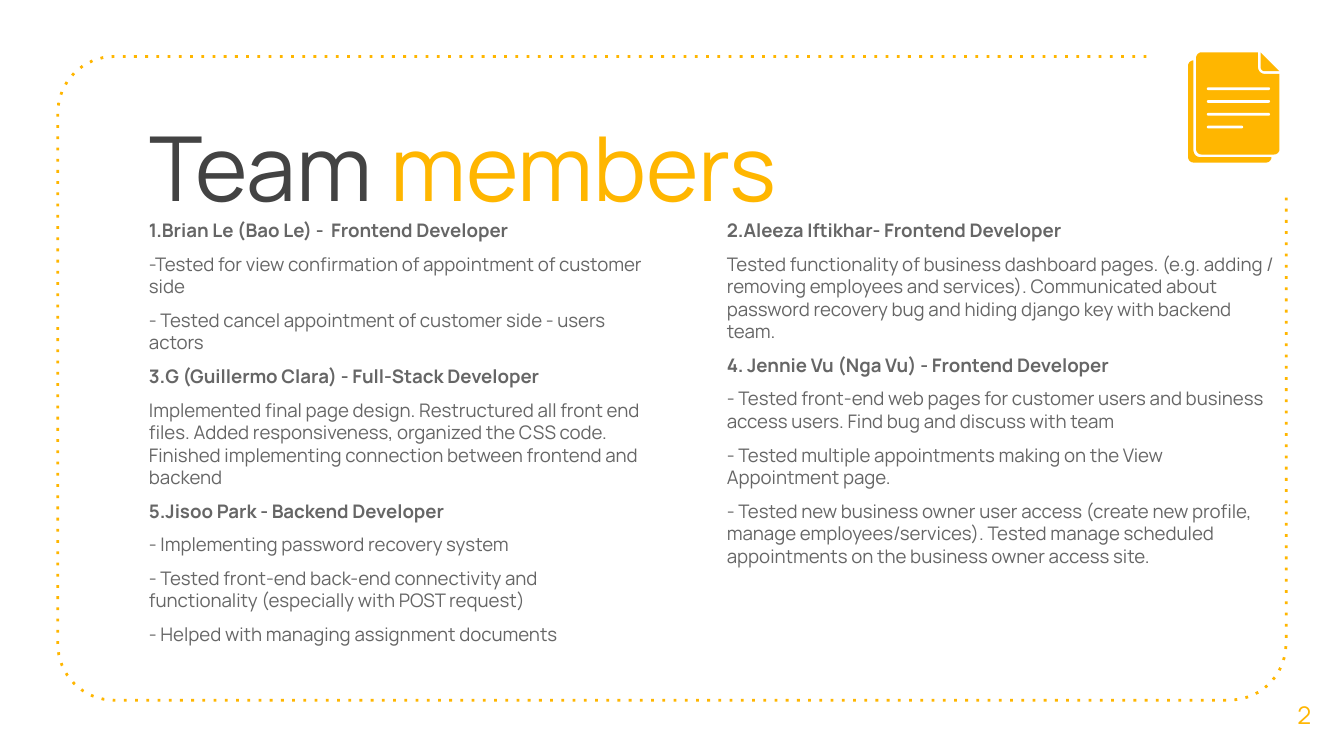
"""Build the team members slide."""
from math import cos, pi, sin
from typing import NamedTuple

from pptx import Presentation
from pptx.dml.color import RGBColor
from pptx.enum.dml import MSO_LINE
from pptx.enum.shapes import MSO_SHAPE
from pptx.enum.text import MSO_ANCHOR, MSO_AUTO_SIZE, PP_ALIGN
from pptx.oxml.ns import qn
from pptx.util import Inches, Pt

FONT = "Manrope"
GOLD, DARK, GRAY, WHITE = "FFB600", "434343", "666666", "FFFFFF"
LEFT, CENTER = PP_ALIGN.LEFT, PP_ALIGN.CENTER
TOP, MIDDLE = MSO_ANCHOR.TOP, MSO_ANCHOR.MIDDLE
FIXED = MSO_AUTO_SIZE.NONE
DOTS = MSO_LINE.ROUND_DOT
PILL = MSO_SHAPE.ROUNDED_RECTANGLE
STEPS = 8


class Run(NamedTuple):
    text: str
    color: str = GRAY
    bold: bool = False


class Node(NamedTuple):
    x: float
    y: float
    turn: float = 0


class Member(NamedTuple):
    head: str
    tasks: list[str]


class Column(NamedTuple):
    x: float
    width: float
    height: float
    team: list[Member]


COLUMNS = [
    Column(1.01, 3.88, 3.74, [
        Member("1.Brian Le (Bao Le) -  Frontend Developer", [
            "-Tested for view confirmation of appointment of customer side",
            "- Tested cancel appointment of customer side - users actors",
        ]),
        Member("3.G (Guillermo Clara) - Full-Stack Developer", [
            "Implemented final page design. Restructured all front end files. "
            "Added responsiveness, organized the CSS code. Finished "
            "implementing connection between frontend and backend",
        ]),
        Member("5.Jisoo Park - Backend Developer", [
            "- Implementing password recovery system",
            "- Tested front-end back-end connectivity and functionality "
            "(especially with POST request)",
            "- Helped with managing assignment documents",
        ]),
    ]),
    Column(5.31, 4.29, 3.85, [
        Member("2.Aleeza Iftikhar- Frontend Developer", [
            "Tested functionality of business dashboard pages. (e.g. adding / "
            "removing employees and services). Communicated about password "
            "recovery bug and hiding django key with backend team.",
        ]),
        Member("4. Jennie Vu (Nga Vu) - Frontend Developer", [
            "- Tested front-end web pages for customer users and business "
            "access users. Find bug and discuss with team",
            "- Tested multiple appointments making on the View Appointment "
            "page.",
            "- Tested new business owner user access (create new profile, "
            "manage employees/services). Tested manage scheduled "
            "appointments on the business owner access site.",
        ]),
    ]),
]

FRAME = [Node(8.53, 0.42), Node(0.43, 0.42, 0.42), Node(0.43, 5.21, 0.42),
         Node(9.57, 5.21, 0.42), Node(9.57, 1.46)]
BACK = [Node(8.88, 0.45), Node(8.84, 0.45, 0.04), Node(8.84, 1.21, 0.04),
        Node(9.46, 1.21, 0.04), Node(9.46, 1.17), Node(8.88, 1.17, 0.05)]
PAGE = [Node(9.36, 0.39), Node(8.9, 0.39, 0.04), Node(8.9, 1.15, 0.04),
        Node(9.52, 1.15, 0.04), Node(9.52, 0.55), Node(9.36, 0.55, 0.05)]
FOLD = [Node(9.38, 0.39), Node(9.38, 0.53, 0.03), Node(9.52, 0.53)]
BARS = [0.47, 0.47, 0.47, 0.27]


def paint(form, color: str) -> None:
    form.solid()
    form.fore_color.rgb = RGBColor.from_string(color)


def bend(prior: Node, node: Node, after: Node) -> list[tuple[float, float]]:
    """Return the points of one corner, rounded by its turn radius."""
    if not node.turn:
        return [(node.x, node.y)]
    far = abs(node.x - prior.x) + abs(node.y - prior.y)
    ux, uy = (node.x - prior.x) / far, (node.y - prior.y) / far
    far = abs(after.x - node.x) + abs(after.y - node.y)
    vx, vy = (after.x - node.x) / far, (after.y - node.y) / far
    points = []
    for step in range(STEPS + 1):
        angle = pi / 2 * step / STEPS
        back, ahead = node.turn * (sin(angle) - 1), node.turn * (1 - cos(angle))
        points.append((node.x + ux * back + vx * ahead,
                       node.y + uy * back + vy * ahead))
    return points


def draw(shapes, nodes: list[Node], closed: bool = True) -> None:
    ring = nodes[1:] + nodes[:1]
    points = [(Inches(x), Inches(y))
              for trio in zip(nodes[-1:] + nodes[:-1], nodes, ring)
              for x, y in bend(*trio)]
    pen = shapes.build_freeform(*points[0])
    pen.add_line_segments(points[1:], close=closed)
    shape = pen.convert_to_shape()
    shape.shadow.inherit = False
    if closed:
        paint(shape.fill, GOLD)
        shape.line.fill.background()
    else:
        shape.fill.background()
        paint(shape.line.fill, GOLD)
        shape.line.width = Pt(1.5)
        shape.line.dash_style = DOTS
        shape.element.find(".//" + qn("a:prstDash")).set("val", "dot")


def write(shape, lines: list[list[Run]], *, size: float, align=LEFT,
          anchor=TOP, before: float = 0) -> None:
    frame = shape.text_frame
    frame.word_wrap = True
    frame.auto_size = FIXED
    frame.vertical_anchor = anchor
    frame.margin_left = frame.margin_right = Inches(0.1)
    frame.margin_top = frame.margin_bottom = Inches(0.1)
    for index, line in enumerate(lines):
        para = frame.add_paragraph() if index else frame.paragraphs[0]
        para.alignment = align
        para.space_before = Pt(before)
        para.line_spacing = 1.0
        for part in line:
            run = para.add_run()
            run.text = part.text
            run.font.name = FONT
            run.font.size = Pt(size)
            run.font.bold = part.bold
            paint(run.font.fill, part.color)


def box(shapes, x: float, y: float, width: float, height: float):
    return shapes.add_textbox(Inches(x), Inches(y), Inches(width), Inches(height))


def icon(shapes) -> None:
    for nodes in (BACK, PAGE, FOLD):
        draw(shapes, nodes)
    for index, width in enumerate(BARS):
        bar = shapes.add_shape(PILL, Inches(8.98), Inches(0.65 + 0.095 * index),
                               Inches(width), Inches(0.02))
        bar.adjustments[0] = 0.5
        bar.shadow.inherit = False
        paint(bar.fill, WHITE)
        bar.line.fill.background()


def main() -> None:
    deck = Presentation()
    deck.slide_width, deck.slide_height = Inches(10), Inches(5.625)
    slide = deck.slides.add_slide(deck.slide_layouts[5])
    paint(slide.background.fill, WHITE)
    shapes = slide.shapes
    draw(shapes, FRAME, closed=False)
    title = shapes.title
    title.left, title.top = Inches(1.01), Inches(0.73)
    title.width, title.height = Inches(7.51), Inches(0.94)
    write(title, [[Run("Team ", DARK), Run("members", GOLD)]], size=48)
    for col in COLUMNS:
        lines = [[Run(text, bold=text == member.head)]
                 for member in col.team for text in [member.head, *member.tasks]]
        write(box(shapes, col.x, 1.53, col.width, col.height), lines,
              size=10, before=6)
    write(box(shapes, 9.41, 5.02, 0.59, 0.6), [[Run("2", GOLD)]],
          size=13, align=CENTER, anchor=MIDDLE)
    icon(shapes)
    deck.save("out.pptx")


if __name__ == "__main__":
    main()
